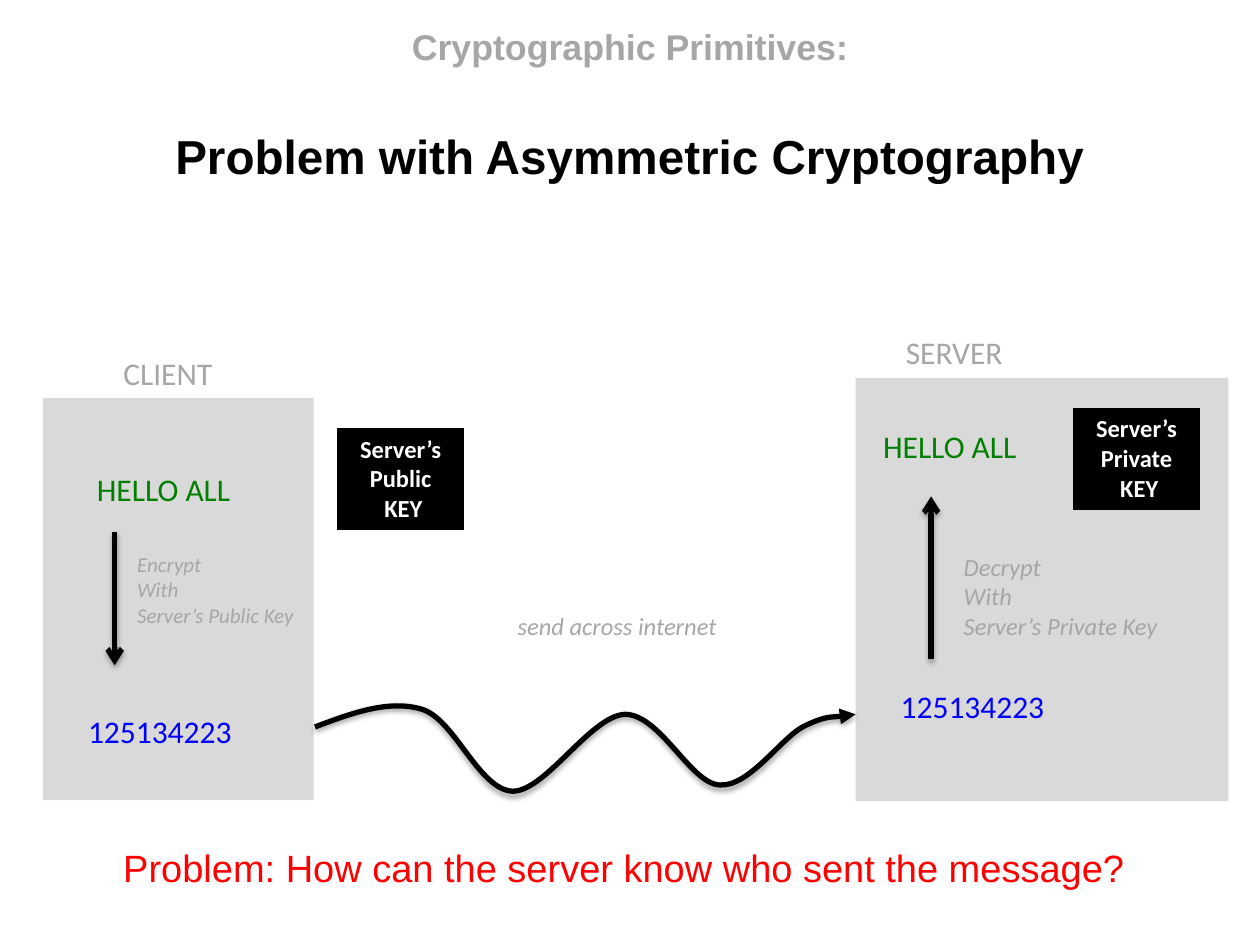
"""Builds the slide on the problem with asymmetric cryptography."""
from lxml.etree import SubElement
from pptx import Presentation
from pptx.dml.color import RGBColor
from pptx.enum.shapes import MSO_CONNECTOR, MSO_SHAPE
from pptx.enum.text import MSO_ANCHOR, MSO_AUTO_SIZE, PP_ALIGN
from pptx.oxml import parse_xml
from pptx.oxml.ns import nsdecls, qn
from pptx.util import Inches, Pt

BLACK, WHITE, GRAY, PANEL = "000000", "FFFFFF", "A6A6A6", "D9D9D9"
GREEN, BLUE, RED = "008000", "0000FF", "FF0000"

TITLE = [("Cryptographic Primitives:", 20.4, GRAY, 0),
         ("Problem with Asymmetric Cryptography", 27.2, BLACK, 33.5)]
PANELS = [(6.79, 3, 2.96, 3.36), (0.34, 3.16, 2.15, 3.19)]
LABELS = [
    (0.88, 2.76, 0.92, 0.4, "CLIENT", 18, GRAY, False),
    (7.09, 2.59, 0.99, 0.4, "SERVER", 18, GRAY, False),
    (0.67, 3.68, 1.28, 0.4, "HELLO ALL", 18, GREEN, False),
    (6.91, 3.34, 1.28, 0.4, "HELLO ALL", 18, GREEN, False),
    (0.6, 5.6, 1.35, 0.4, "125134223", 18, BLUE, False),
    (7.05, 5.4, 1.35, 0.4, "125134223", 18, BLUE, False),
    (0.99, 4.33, 1.5, 0.71, "Encrypt\nWith\nServer’s Public Key", 12, GRAY, True),
    (7.55, 4.33, 1.81, 0.81, "Decrypt \nWith\nServer’s Private Key", 14, GRAY, True),
    (4.01, 4.8, 1.86, 0.34, "send across internet", 14, GRAY, True),
]
KEYS = [(2.68, 3.4, "Server’s\nPublic\n KEY"), (8.52, 3.24, "Server’s\nPrivate\n KEY")]
ARROWS = [(0.91, 4.22, 5.28), (7.39, 5.23, 3.94)]
WAVE = [(2.5, 5.77),
        (2.79, 5.66), (3.09, 5.55), (3.35, 5.63),
        (3.61, 5.71), (3.8, 6.27), (4.07, 6.28),
        (4.33, 6.28), (4.69, 5.68), (4.96, 5.67),
        (5.24, 5.67), (5.48, 6.22), (5.71, 6.23),
        (5.94, 6.25), (6.19, 5.87), (6.37, 5.77),
        (6.55, 5.68), (6.69, 5.69), (6.79, 5.67)]
PROBLEM = "Problem: How can the server know who sent the message?"


def rgb(color):
    return RGBColor.from_string(color)


def box(*lengths):
    return [Inches(v) for v in lengths]


def style(p, size, color, name="Calibri", bold=False, italic=False):
    f = p.font
    f.name, f.size, f.bold, f.italic = name, Pt(size), bold, italic
    f.color.rgb = rgb(color)


def stroke(sp, head):
    sp.line.color.rgb = rgb(BLACK)
    sp.line.width = Pt(3)
    SubElement(sp.line._get_or_add_ln(), qn("a:tailEnd"), type=head)
    sp_pr = sp._element.spPr
    for old in sp_pr.findall(qn("a:effectLst")):
        sp_pr.remove(old)
    sp_pr.append(parse_xml(
        f'<a:effectLst {nsdecls("a")}><a:outerShdw blurRad="{Pt(3.1)}" dist="{Pt(1.8)}" '
        'dir="5400000" rotWithShape="0"><a:srgbClr val="000000"><a:alpha val="35000"/>'
        '</a:srgbClr></a:outerShdw></a:effectLst>'))


def add_key(s, x, y, text):
    frame = s.shapes.add_table(1, 1, *box(x, y, 1, 0.8))
    cell = frame.table.cell(0, 0)
    cell.text = text
    for p in cell.text_frame.paragraphs:
        p.alignment = PP_ALIGN.CENTER
        style(p, 14, WHITE, bold=True)
    cell.fill.solid()
    cell.fill.fore_color.rgb = rgb(BLACK)
    tc_pr = cell._tc.get_or_add_tcPr()
    for i, side in enumerate("LRTB"):
        tc_pr.insert(i, parse_xml(
            f'<a:ln{side} {nsdecls("a")} w="{Pt(1)}"><a:solidFill>'
            f'<a:srgbClr val="{BLACK}"/></a:solidFill></a:ln{side}>'))


def add_wave(s):
    points = [tuple(box(*pt)) for pt in WAVE]
    builder = s.shapes.build_freeform(*points[0])
    builder.add_line_segments(points[1:], close=False)
    sp = builder.convert_to_shape()
    sp.fill.background()
    stroke(sp, "triangle")
    outline = next(sp._element.iter(qn("a:path")))
    lines = outline.findall(qn("a:lnTo"))
    for i in range(0, len(lines), 3):
        curve = SubElement(outline, qn("a:cubicBezTo"))
        for line in lines[i:i + 3]:
            curve.append(line[0])
            outline.remove(line)


prs = Presentation()
prs.slide_width, prs.slide_height = box(10, 7.5)
s = prs.slides.add_slide(prs.slide_layouts[5])

title = s.shapes.title
title.left, title.top, title.width, title.height = box(0.5, 0.2, 9, 1.26)
tf = title.text_frame
tf.text = "\n".join(row[0] for row in TITLE)
tf.auto_size = MSO_AUTO_SIZE.NONE
tf.vertical_anchor = MSO_ANCHOR.MIDDLE
for p, (_, size, color, gap) in zip(tf.paragraphs, TITLE):
    p.alignment = PP_ALIGN.CENTER
    p.space_before = Pt(gap)
    style(p, size, color, "Arial", bold=True)

for panel in PANELS:
    sp = s.shapes.add_shape(MSO_SHAPE.RECTANGLE, *box(*panel))
    sp.shadow.inherit = False
    sp.fill.solid()
    sp.fill.fore_color.rgb = rgb(PANEL)
    sp.line.fill.background()

for x, y, w, h, text, size, color, italic in LABELS:
    tf = s.shapes.add_textbox(*box(x, y, w, h)).text_frame
    tf.text = text
    tf.word_wrap = False
    tf.auto_size = MSO_AUTO_SIZE.SHAPE_TO_FIT_TEXT
    for p in tf.paragraphs:
        style(p, size, color, italic=italic)

for key in KEYS:
    add_key(s, *key)

for x, start, end in ARROWS:
    stroke(s.shapes.add_connector(MSO_CONNECTOR.STRAIGHT, *box(x, start, x, end)), "arrow")
add_wave(s)

tf = s.shapes.add_textbox(*box(0.88, 6.65, 8.64, 0.67)).text_frame
tf.text = PROBLEM
tf.word_wrap = True
tf.paragraphs[0].space_before = Pt(4)
style(tf.paragraphs[0], 21.7, RED, "Arial")

prs.save("out.pptx")
